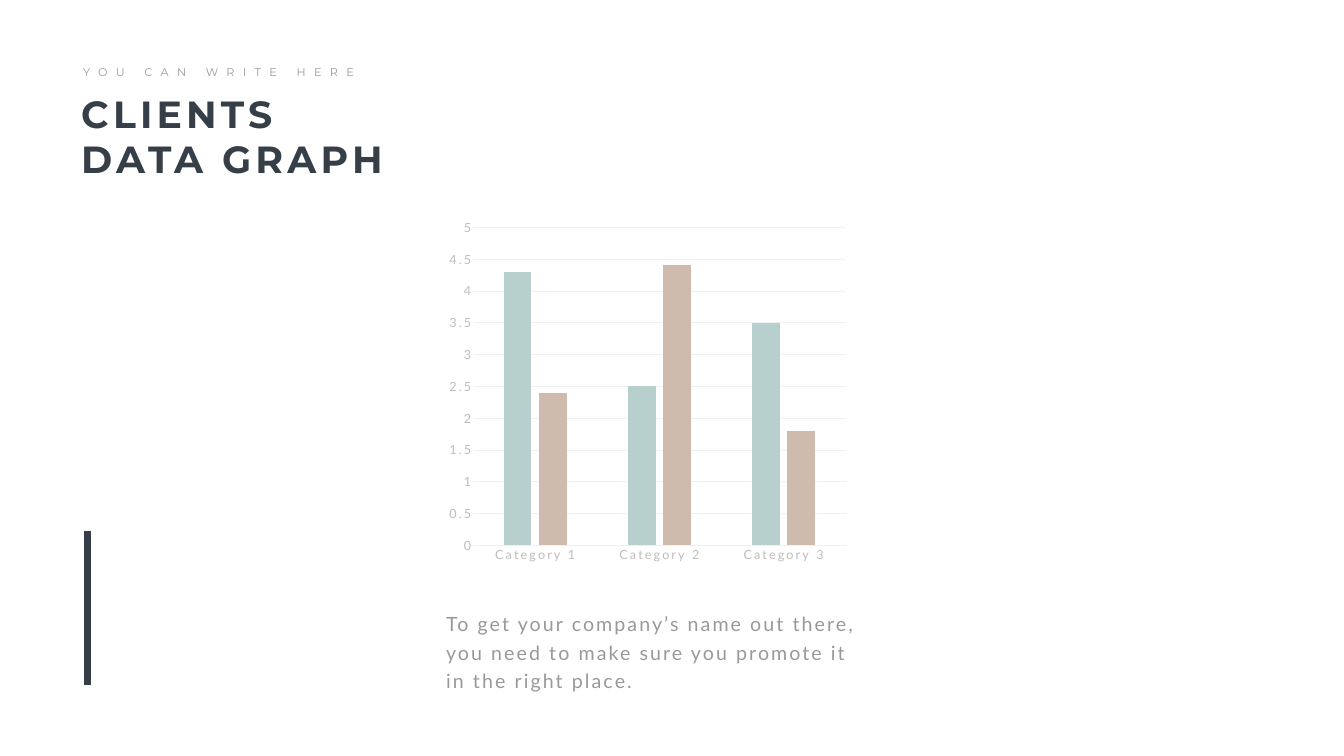
from pptx import Presentation
from pptx.chart.data import CategoryChartData
from pptx.dml.color import RGBColor
from pptx.enum.chart import XL_CHART_TYPE, XL_TICK_MARK
from pptx.enum.shapes import MSO_CONNECTOR
from pptx.enum.text import MSO_ANCHOR, MSO_AUTO_SIZE, PP_ALIGN
from pptx.oxml.ns import qn
from pptx.util import Pt
from lxml import etree

COLUMNS = XL_CHART_TYPE.COLUMN_CLUSTERED
NO_TICK = XL_TICK_MARK.NONE
STRAIGHT = MSO_CONNECTOR.STRAIGHT
TOP = MSO_ANCHOR.TOP
GROW = MSO_AUTO_SIZE.SHAPE_TO_FIT_TEXT
LEFT = PP_ALIGN.LEFT

TITLE_ONLY = 5
HEADING_FONT, BODY_FONT = "Montserrat", "Lato"
COLORS = {
    "dark": "363E48",
    "text": "999999",
    "axis": "BDBDBD",
    "grid": "F0F0F0",
    "teal": "B7D0CD",
    "sand": "CEBBAD",
}
CATEGORIES = ["Category 1", "Category 2", "Category 3"]
SERIES = [
    ("Series 1", [4.3, 2.5, 3.5], "teal"),
    ("Series 2", [2.4, 4.4, 1.8], "sand"),
]


def color(name):
    return RGBColor.from_string(COLORS[name])


class SlideBuilder:
    """Holds the style and the current slide; all lengths are in points."""

    def __init__(self, prs):
        self.s = prs.slides.add_slide(prs.slide_layouts[TITLE_ONLY])

    def style_font(self, font, name, size, fill):
        font.name = name
        font.size = Pt(size)
        font.color.rgb = color(fill)

    def fill_text(self, sp, text, font, size, fill, spacing, bold=False,
                  wrap=True, leading=None):
        tf = sp.text_frame
        tf.text = text
        tf.word_wrap = wrap
        tf.auto_size = GROW
        tf.vertical_anchor = TOP
        p = tf.paragraphs[0]
        p.alignment = LEFT
        if leading:
            p.line_spacing = Pt(leading)
        r = p.runs[0]
        self.style_font(r.font, font, size, fill)
        r.font.bold = bold
        r._r.get_or_add_rPr().set("spc", str(spacing * 100))

    def title(self, x, y, w, h, text, **style):
        sp = self.s.shapes.title
        sp.left, sp.top, sp.width, sp.height = Pt(x), Pt(y), Pt(w), Pt(h)
        self.fill_text(sp, text, **style)

    def text(self, x, y, w, h, text, **style):
        sp = self.s.shapes.add_textbox(Pt(x), Pt(y), Pt(w), Pt(h))
        self.fill_text(sp, text, **style)

    def line(self, x1, y1, x2, y2, fill, width):
        sp = self.s.shapes.add_connector(STRAIGHT, Pt(x1), Pt(y1), Pt(x2), Pt(y2))
        sp.line.color.rgb = color(fill)
        sp.line.width = Pt(width)
        etree.SubElement(sp._element.spPr, qn("a:effectLst"))

    def column_chart(self, x, y, w, h, categories, series):
        data = CategoryChartData()
        data.categories = categories
        for name, values, _ in series:
            data.add_series(name, values)
        chart = self.s.shapes.add_chart(
            COLUMNS, Pt(x), Pt(y), Pt(w), Pt(h), data).chart
        chart.has_title = False
        chart.has_legend = False
        self.style_font(chart.font, BODY_FONT, 18, "text")

        plot = chart.plots[0]
        plot.vary_by_categories = False
        plot.gap_width = 219
        plot.overlap = -27
        for ser, (_, _, fill) in zip(plot.series, series):
            ser.format.fill.solid()
            ser.format.fill.fore_color.rgb = color(fill)

        cat_axis, val_axis = chart.category_axis, chart.value_axis
        for axis in (cat_axis, val_axis):
            axis.major_tick_mark = axis.minor_tick_mark = NO_TICK
            self.style_font(axis.tick_labels.font, BODY_FONT, 18, "axis")
        val_axis.minimum_scale = 0
        val_axis.maximum_scale = 5
        val_axis.major_unit = 0.5
        val_axis.format.line.fill.background()
        for line in (cat_axis.format.line, val_axis.major_gridlines.format.line):
            line.color.rgb = color("grid")
            line.width = Pt(0.75)
        for props in chart.element.iter(qn("a:defRPr")):
            props.set("spc", "300")


def main():
    prs = Presentation()
    prs.slide_width, prs.slide_height = Pt(1919.52), Pt(1080)
    b = SlideBuilder(prs)

    b.text(630, 864, 605.5, 127.4,
           "To get your company’s name out there, you need to make sure "
           "you promote it in the right place.",
           font=BODY_FONT, size=28, fill="text", spacing=3, leading=40.8)
    b.title(108.7, 125.3, 469.4, 138.2, "CLIENTS DATA GRAPH",
            font=HEADING_FONT, size=54, fill="dark", spacing=6, bold=True)
    b.text(111.6, 89.3, 416.2, 26.6, "YOU CAN WRITE HERE",
           font=HEADING_FONT, size=16, fill="text", spacing=12, wrap=False)
    b.column_chart(630, 303.8, 589.7, 509.8, CATEGORIES, SERIES)
    b.line(124.6, 758.2, 124.6, 979.2, "dark", 10)

    prs.save("out.pptx")


if __name__ == "__main__":
    main()
